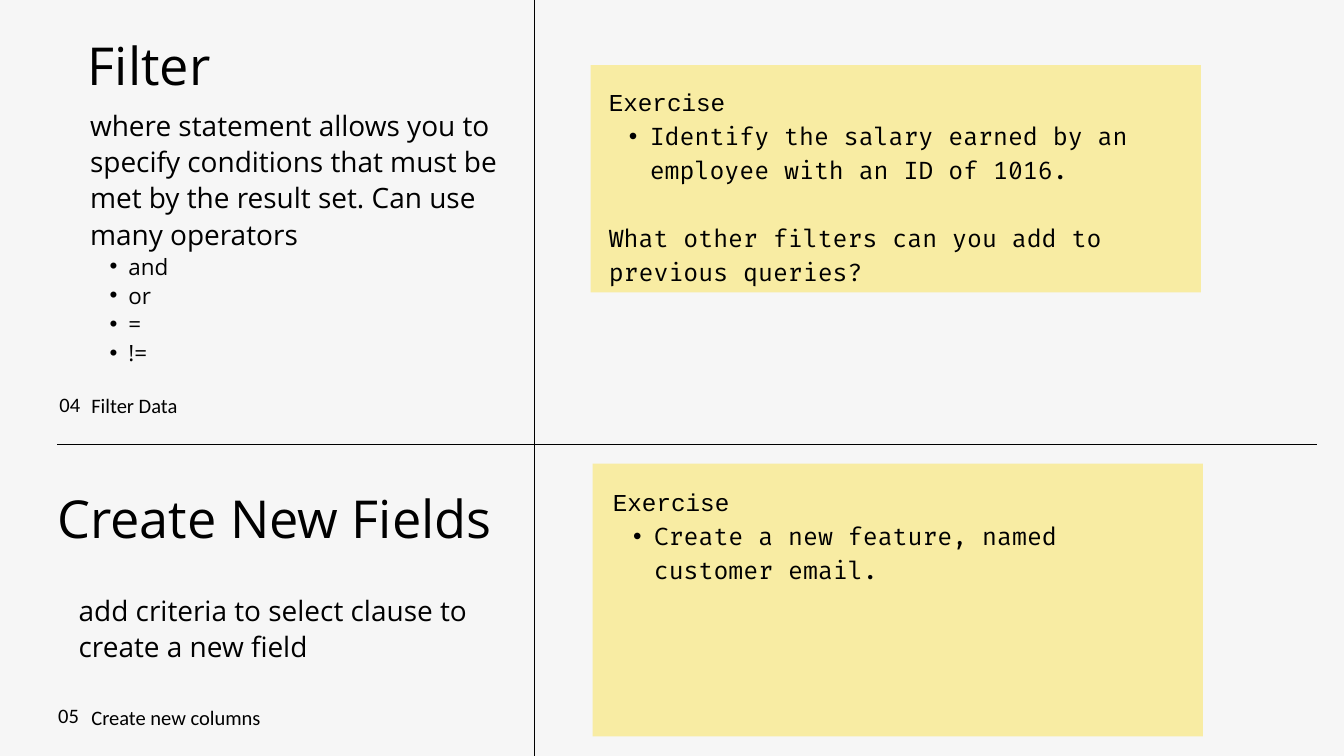
from typing import NamedTuple, Optional

from lxml import etree
from pptx import Presentation
from pptx.dml.color import RGBColor
from pptx.enum.shapes import MSO_CONNECTOR, MSO_SHAPE
from pptx.enum.text import MSO_AUTO_SIZE, PP_ALIGN
from pptx.oxml.ns import qn
from pptx.util import Inches, Pt

STRAIGHT = MSO_CONNECTOR.STRAIGHT
RECTANGLE = MSO_SHAPE.RECTANGLE
GROW = MSO_AUTO_SIZE.SHAPE_TO_FIT_TEXT
LEFT, CENTER = PP_ALIGN.LEFT, PP_ALIGN.CENTER

WIDTH, HEIGHT = 20, 11.25
BACKGROUND, INK, YELLOW = "F6F6F6", "000000", "F8ECA3"

# Text styles: font, size and line spacing in points
TITLE = ("Open Sans", 56, 62.7)
BODY = ("Open Sans", 30, 38.7)
OPERATOR = ("Open Sans", 24, 31)
EXERCISE = ("Courier New", 26, 36.4)
TASK = ("Fira Code", 26, 36.4)
NUMBER = ("Calibri", 22, 30.8)
CAPTION = ("Calibri", 22, 38.7)

# Bullet formats: text margin and hanging indent in inches
OPERATOR_BULLET = (0.57, -0.28)
TASK_BULLET = (0.61, -0.31)


class Line(NamedTuple):
    text: str
    style: tuple
    bullet: Optional[tuple] = None
    space_before: float = 0


def color(hex_string):
    return RGBColor.from_string(hex_string)


def set_attributes(target, values):
    for name, value in values.items():
        setattr(target, name, value)


def add_rule(slide, start, end):
    rule = slide.shapes.add_connector(STRAIGHT, *map(Inches, start + end))
    rule.line.color.rgb = color(INK)
    rule.line.width = Pt(0.75)
    etree.SubElement(rule._element.spPr, qn("a:effectLst"))


def add_panel(slide, box):
    panel = slide.shapes.add_shape(RECTANGLE, *map(Inches, box))
    panel.shadow.inherit = False
    panel.fill.solid()
    panel.fill.fore_color.rgb = color(YELLOW)
    panel.line.fill.background()


def add_bullet(paragraph, margin, indent):
    paragraph.level = 1
    properties = paragraph._p.get_or_add_pPr()
    properties.set("marL", str(Inches(margin)))
    properties.set("indent", str(Inches(indent)))
    etree.SubElement(properties, qn("a:buFont")).set("typeface", "Arial")
    etree.SubElement(properties, qn("a:buChar")).set("char", "•")


def add_text(slide, box, lines, align=LEFT):
    frame = slide.shapes.add_textbox(*map(Inches, box)).text_frame
    set_attributes(frame, {
        "margin_left": 0, "margin_top": 0, "margin_right": 0,
        "margin_bottom": 0, "word_wrap": True, "auto_size": GROW,
    })
    for index, line in enumerate(lines):
        font_name, size, spacing = line.style
        paragraph = frame.add_paragraph() if index else frame.paragraphs[0]
        set_attributes(paragraph, {
            "alignment": align, "line_spacing": Pt(spacing),
            "space_before": Pt(line.space_before),
        })
        if line.bullet:
            add_bullet(paragraph, *line.bullet)
        run = paragraph.add_run()
        run.text = line.text
        set_attributes(run.font, {"name": font_name, "size": Pt(size)})
        run.font.color.rgb = color(INK)


def add_footer(slide, number, number_at, caption, caption_at):
    add_text(slide, number_at + (0.56, 0.42), [Line(number, NUMBER)], CENTER)
    add_text(slide, caption_at + (9.7, 0.51), [Line(caption, CAPTION)])


def add_exercise(slide, panel_box, text_box, task, *more):
    add_panel(slide, panel_box)
    add_text(slide, text_box, [Line("Exercise", EXERCISE),
                               Line(task, TASK, TASK_BULLET), *more])


def main():
    presentation = Presentation()
    set_attributes(presentation, {"slide_width": Inches(WIDTH),
                                  "slide_height": Inches(HEIGHT)})
    slide = presentation.slides.add_slide(presentation.slide_layouts[6])
    slide.background.fill.solid()
    slide.background.fill.fore_color.rgb = color(BACKGROUND)

    # Rules dividing the slide into quarters
    add_rule(slide, (7.95, 0), (7.95, HEIGHT))
    add_rule(slide, (0.85, 6.62), (19.6, 6.62))

    # Filter section
    operators = [Line(name, OPERATOR, OPERATOR_BULLET)
                 for name in ("and", "or", "=", "!=")]
    add_text(slide, (1.34, 1.58, 6.39, 4.88), [
        Line("where statement allows you to specify conditions that must be "
             "met by the result set. Can use many operators", BODY),
        *operators])
    add_text(slide, (1.31, 0.55, 5.7, 0.89), [Line("Filter", TITLE)])
    add_exercise(
        slide, (8.79, 0.97, 9.08, 3.38), (9.06, 1.23, 8.02, 3.01),
        "Identify the salary earned by an employee with an ID of 1016.",
        Line("What other filters can you add to previous queries?",
             TASK, space_before=36.4))
    add_footer(slide, "04", (0.76, 5.77), "Filter Data", (1.36, 5.68))

    # Create New Fields section
    add_text(slide, (0.85, 7.3, 7.03, 0.89),
             [Line("Create New Fields", TITLE)])
    add_text(slide, (1.17, 8.8, 6.39, 2.64), [
        Line("add criteria to select clause to create a new field", BODY)])
    add_exercise(
        slide, (8.82, 6.9, 9.08, 4.06), (9.12, 7.18, 8.49, 1.5),
        "Create a new feature, named customer email.")
    add_footer(slide, "05", (0.74, 10.4), "Create new columns", (1.36, 10.32))

    presentation.save("out.pptx")


if __name__ == "__main__":
    main()
